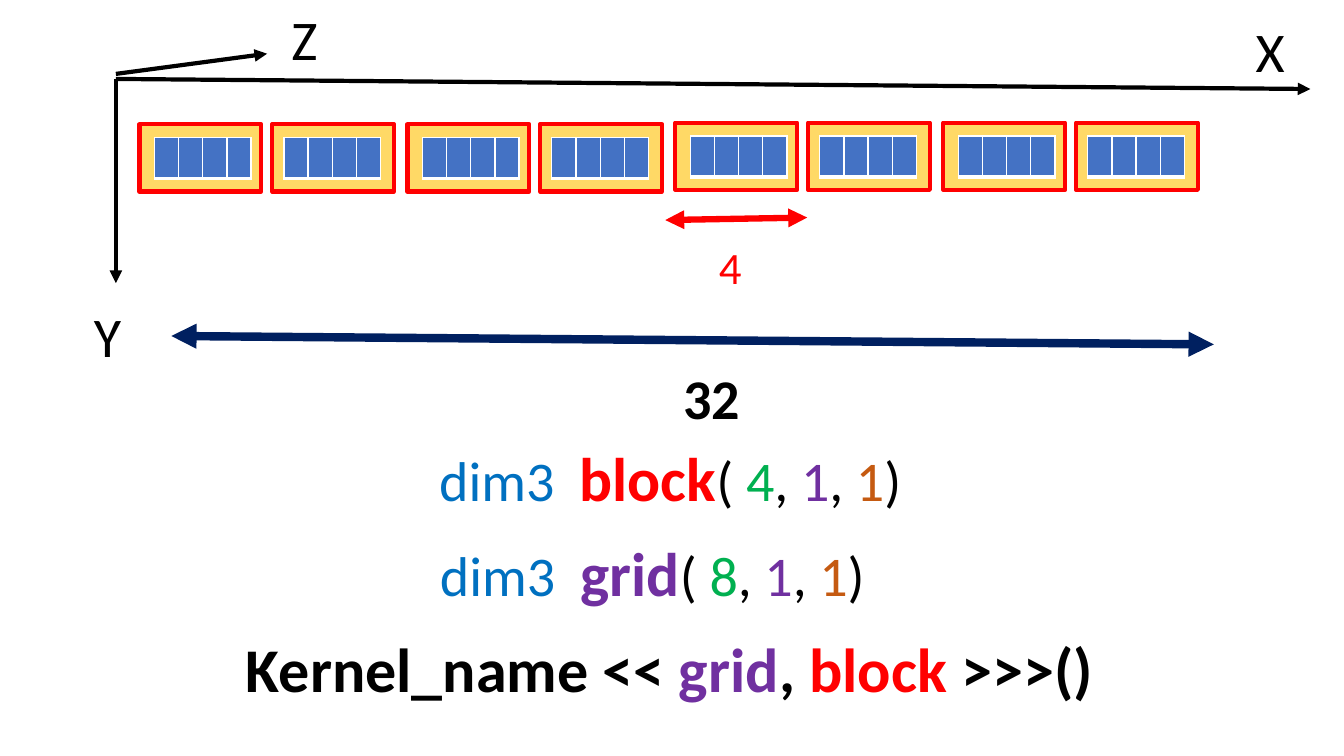
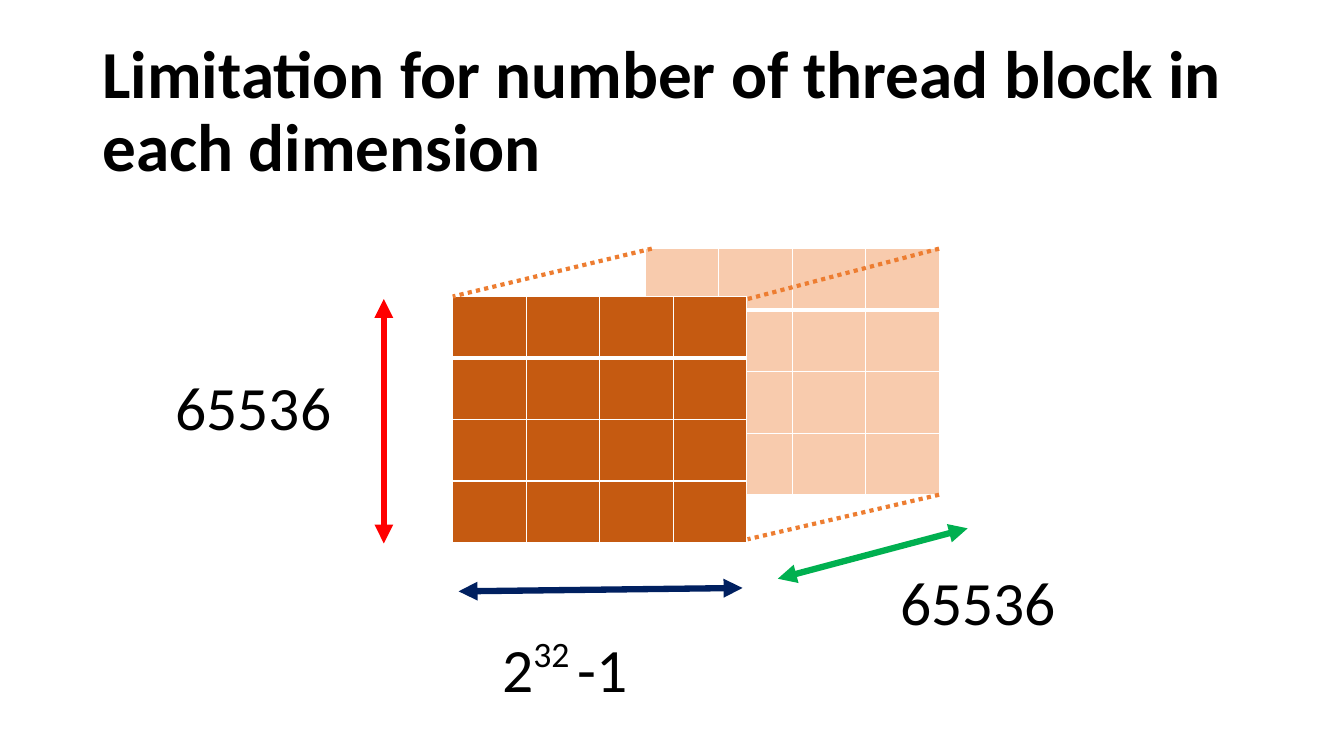
import dataclasses
import typing

import lxml.etree
import pptx
import pptx.dml.color
import pptx.enum.dml
import pptx.enum.shapes
import pptx.enum.text
import pptx.oxml.ns
import pptx.util

# The slide is a grid of 16 columns by 9 rows; every length is in cells.
WIDE, HIGH = pptx.util.Inches(13.333), pptx.util.Inches(7.5)
COLS, ROWS = 16, 9
FONT = "Calibri"
BLACK, WHITE, RED, NAVY = "000000", "FFFFFF", "FF0000", "002060"
GREEN, PURPLE, RUST, ORANGE = "00B050", "7030A0", "C55A11", "ED7D31"
BLUE, CELL, GOLD, PEACH = "0070C0", "4472C4", "FFD966", "F8CBAD"

Point = tuple[float, float]
Box = tuple[float, float, float, float]


@dataclasses.dataclass
class Run:
    """A stretch of text in one format."""
    text: str
    color: str = BLACK
    size: float = 40
    bold: bool = False
    raised: int = 0


@dataclasses.dataclass
class Line:
    """A straight line, with optional arrowheads or dots."""
    start: Point
    end: Point
    color: str = BLACK
    width: float = 3
    head: bool = False
    tail: bool = False
    dots: bool = False


@dataclasses.dataclass
class Label:
    """A text box and the runs it holds."""
    box: Box
    runs: list[Run]
    code: bool = False


def across(cols: float) -> int:
    """Turn columns into a length."""
    return round(WIDE * cols / COLS)


def down(rows: float) -> int:
    """Turn rows into a length."""
    return round(HIGH * rows / ROWS)


def place(box: Box) -> tuple[int, int, int, int]:
    """Turn a box in cells into left, top, width and height."""
    return across(box[0]), down(box[1]), across(box[2]), down(box[3])


def rgb(code: str) -> pptx.dml.color.RGBColor:
    """Turn a hex string into a colour."""
    return pptx.dml.color.RGBColor.from_string(code)


def child(base: typing.Any, tag: str, **attrs: str) -> typing.Any:
    """Add a drawing element below another."""
    return lxml.etree.SubElement(base, pptx.oxml.ns.qn(tag), attrs)


def write(para: typing.Any, text: str, *, color: str = BLACK, size: float = 40,
          bold: bool = False, raised: int = 0) -> None:
    """Add text to a paragraph in the given format."""
    run = para.add_run()
    run.text = text
    run.font.name = FONT
    run.font.size = pptx.util.Pt(size)
    run.font.bold = bold
    run.font.color.rgb = rgb(color)
    if raised:
        run.font._element.set("baseline", str(raised * 1000))


def draw_label(slide: typing.Any, label: Label) -> None:
    """Draw a text box; code lines have their own spacing."""
    frame = slide.shapes.add_textbox(*place(label.box)).text_frame
    frame.word_wrap = True
    para = frame.paragraphs[0]
    if label.code:
        para.line_spacing = 0.9
        para.space_before = pptx.util.Pt(10)
    else:
        frame.auto_size = pptx.enum.text.MSO_AUTO_SIZE.SHAPE_TO_FIT_TEXT
    for run in label.runs:
        write(para, **dataclasses.asdict(run))


def draw_line(slide: typing.Any, line: Line) -> None:
    """Draw a connector without a shadow."""
    link = slide.shapes.add_connector(
        pptx.enum.shapes.MSO_CONNECTOR.STRAIGHT,
        across(line.start[0]), down(line.start[1]),
        across(line.end[0]), down(line.end[1]))
    link.line.color.rgb = rgb(line.color)
    link.line.width = pptx.util.Pt(line.width)
    if line.dots:
        link.line.dash_style = pptx.enum.dml.MSO_LINE.ROUND_DOT
    props = link.element.spPr
    stroke = props.find(pptx.oxml.ns.qn("a:ln"))
    for tag, shown in (("a:headEnd", line.head), ("a:tailEnd", line.tail)):
        if shown:
            child(stroke, tag, type="triangle")
    child(props, "a:effectLst")


def draw_box(slide: typing.Any, box: Box) -> None:
    """Draw the gold frame of a thread block."""
    shape = slide.shapes.add_shape(
        pptx.enum.shapes.MSO_SHAPE.RECTANGLE, *place(box))
    shape.shadow.inherit = False
    shape.fill.solid()
    shape.fill.fore_color.rgb = rgb(GOLD)
    shape.line.color.rgb = rgb(RED)
    shape.line.width = pptx.util.Pt(3)


def draw_cells(slide: typing.Any, box: Box, rows: int, color: str) -> None:
    """Draw a table of four columns, with a thick rule below its first row."""
    table = slide.shapes.add_table(rows, 4, *place(box)).table
    table.first_row = table.horz_banding = False
    for row in range(rows):
        for col in range(4):
            cell = table.cell(row, col)
            props = cell._tc.get_or_add_tcPr()
            for side in "LRTB":
                thick = (side, row) in (("B", 0), ("T", 1))
                width = pptx.util.Pt(3 if thick else 1)
                edge = child(props, f"a:ln{side}", w=str(width))
                child(child(edge, "a:solidFill"), "a:srgbClr", val=WHITE)
            cell.fill.solid()
            cell.fill.fore_color.rgb = rgb(color)


def draw_title(slide: typing.Any, text: str) -> None:
    """Move and format the title placeholder."""
    title = slide.shapes.title
    title.left, title.top, title.width, title.height = place(
        (1.1, 0.48, 13.8, 1.74))
    frame = title.text_frame
    frame.word_wrap = True
    frame.auto_size = pptx.enum.text.MSO_AUTO_SIZE.NONE
    frame.vertical_anchor = pptx.enum.text.MSO_ANCHOR.MIDDLE
    para = frame.paragraphs[0]
    para.alignment = pptx.enum.text.PP_ALIGN.LEFT
    para.line_spacing = 0.9
    write(para, text, size=48, bold=True)


def arrow(start: Point, end: Point, color: str, width: float = 4.5) -> Line:
    """Describe a measure with a head at both ends."""
    return Line(start, end, color, width, head=True, tail=True)


def axis(start: Point, end: Point) -> Line:
    """Describe an axis that points to its end."""
    return Line(start, end, tail=True)


def edge(start: Point, end: Point) -> Line:
    """Describe a dotted edge of the cube."""
    return Line(start, end, ORANGE, dots=True)


def sizes(box: Box, name: str, color: str, count: str) -> Label:
    """Describe a dim3 line with its three coloured sizes."""
    return Label(box, [
        Run("dim3  ", BLUE), Run(name, color, 44, True), Run("( "),
        Run(count, GREEN), Run(", "), Run("1", PURPLE), Run(", "),
        Run("1", RUST), Run(")")], code=True)


def draw_all(slide: typing.Any, lines: list[Line], labels: list[Label]) -> None:
    """Draw lines, then labels."""
    for line in lines:
        draw_line(slide, line)
    for label in labels:
        draw_label(slide, label)


def build_row(slide: typing.Any) -> None:
    """Build the row of eight blocks and its kernel call."""
    for i in range(8):
        pair, odd = divmod(i, 2)
        left = 1.66 + 3.19 * pair + 1.58 * odd
        top = 1.48 if i < 4 else 1.46
        draw_box(slide, (left, top, 1.45, 0.8))
        inset = 0.14 if odd else 0.18
        draw_cells(slide, (left + inset, top + 0.16, 1.09, 0.44), 1, CELL)
    draw_all(slide, [
        axis((1.38, 0.94), (15.6, 1.06)),
        axis((1.38, 0.88), (3.18, 0.64)),
        axis((1.38, 0.94), (1.38, 3.37)),
        arrow((2.04, 4), (14.45, 4.1), NAVY, 6),
        arrow((7.92, 2.62), (9.61, 2.59), RED),
    ], [
        Label((1, 3.53, 1.03, 0.92), [Run("Y")]),
        Label((3.35, 0, 1.03, 0.92), [Run("Z")]),
        Label((14.83, 0.14, 1.03, 0.92), [Run("X")]),
        Label((8.02, 4.27, 2.4, 0.92), [Run("32", bold=True)]),
        Label((8.44, 2.8, 1.18, 0.77), [Run("4", RED, 32)]),
        sizes((5.11, 5.28, 6.22, 1.55), "block", RED, "4"),
        sizes((5.12, 6.41, 6.22, 1.55), "grid", PURPLE, "8"),
        Label((2.81, 7.54, 11.06, 1.55), [
            Run(text, color, 44.4, True) for text, color in (
                ("Kernel_name <<", BLACK), (" grid", PURPLE), (", ", BLACK),
                ("block ", RED), (">>>()", BLACK))], code=True),
    ])


def build_cube(slide: typing.Any) -> None:
    """Build the cube of blocks and the limit on each side."""
    draw_title(slide, "Limitation for number of thread block in each dimension")
    draw_cells(slide, (7.68, 2.96, 3.5, 2.93), 4, PEACH)
    draw_cells(slide, (5.39, 3.53, 3.5, 2.93), 4, RUST)
    draw_all(slide, [
        edge((7.76, 2.96), (5.39, 3.53)),
        edge((11.18, 2.96), (8.9, 3.56)),
        edge((11.18, 5.89), (8.9, 6.42)),
        arrow((5.46, 7.04), (8.84, 7), NAVY),
        arrow((4.57, 6.47), (4.57, 3.56), RED),
        arrow((9.26, 6.89), (11.52, 6.29), GREEN),
    ], [
        Label((1.97, 4.33, 2.26, 1.01), [Run("65536", size=44)]),
        Label((5.86, 7.45, 3.05, 1.01), [
            Run("2", size=44), Run("32 ", size=44, raised=40),
            Run("-1", size=44)]),
        Label((10.6, 6.65, 2.26, 1.01), [Run("65536", size=44)]),
    ])


def main() -> None:
    """Build and save the deck."""
    deck = pptx.Presentation()
    deck.slide_width, deck.slide_height = WIDE, HIGH
    only, blank = deck.slide_layouts[5], deck.slide_layouts[6]
    build_row(deck.slides.add_slide(blank))
    build_cube(deck.slides.add_slide(only))
    deck.save("out.pptx")


main()
